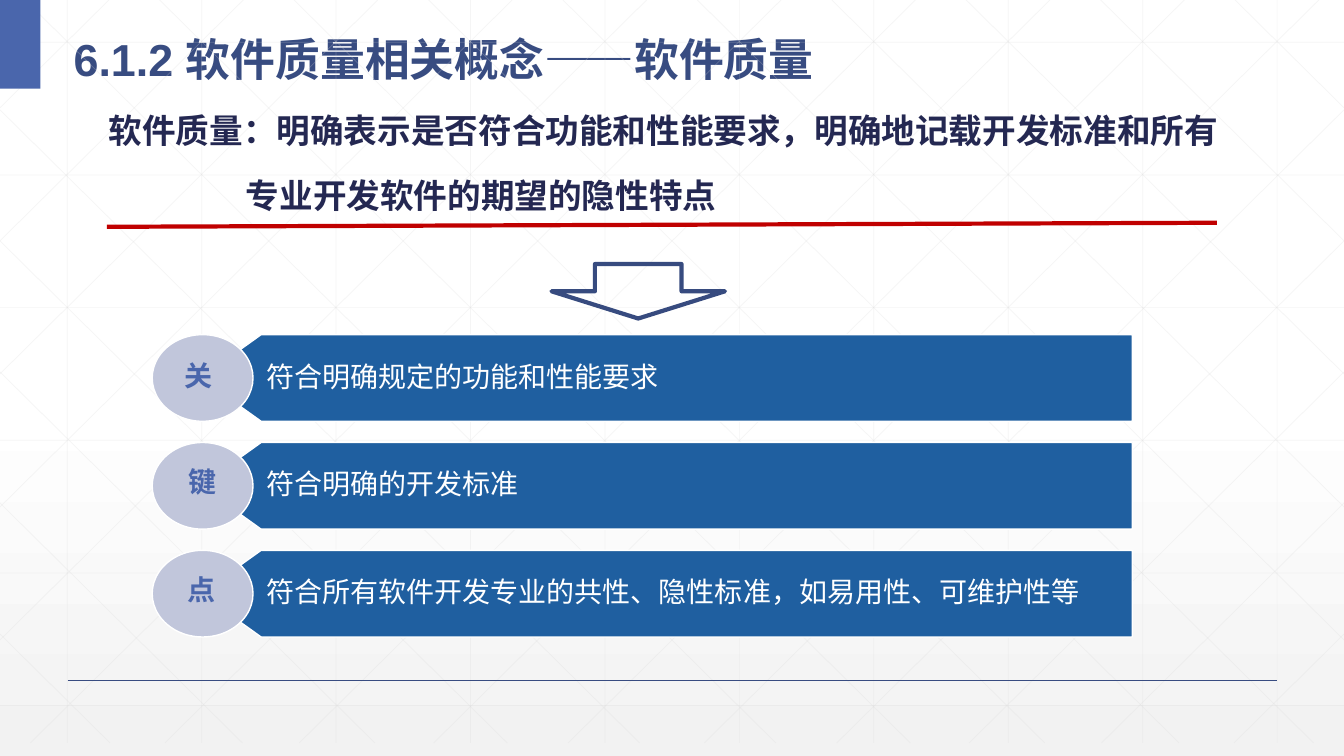
from dataclasses import dataclass

from lxml import etree
from pptx import Presentation
from pptx.dml.color import RGBColor
from pptx.enum import shapes, text
from pptx.oxml import parse_xml
from pptx.oxml.ns import nsdecls, qn
from pptx.util import Inches, Pt

WIDTH, HEIGHT = 13.33, 7.5
GRID_BOTTOM = 7.37
GRID_STEP = 4 / 3
FONT = "Arial"


@dataclass
class KeyPoint:
    mark: str
    mark_left: float
    mark_top: float
    wording: str


KEY_POINTS = [
    KeyPoint("关", 1.73, 3.51, "符合明确规定的功能和性能要求"),
    KeyPoint("键", 1.77, 4.56, "符合明确的开发标准"),
    KeyPoint("点", 1.76, 5.63, "符合所有软件开发专业的共性、隐性标准，如易用性、可维护性等"),
]


def color(value: str) -> RGBColor:
    return RGBColor.from_string(value)


def set_font(paragraph, size: float, value: str, bold: bool = False) -> None:
    font = paragraph.font
    font.name, font.size, font.bold = FONT, Pt(size), bold
    font.color.rgb = color(value)


def style_shape(shape, fill: str | None, line: str | None, width: float = 1) -> None:
    shape.shadow.inherit = False
    if fill:
        shape.fill.solid()
        shape.fill.fore_color.rgb = color(fill)
    else:
        shape.fill.background()
    if line:
        shape.line.color.rgb = color(line)
        shape.line.width = Pt(width)
    else:
        shape.line.fill.background()


def add_line(slide, x1: float, y1: float, x2: float, y2: float,
             value: str, width: float, opacity: int = 100) -> None:
    line = slide.shapes.add_connector(
        shapes.MSO_CONNECTOR.STRAIGHT, *map(Inches, (x1, y1, x2, y2)))
    line.line.color.rgb = color(value)
    line.line.width = Pt(width)
    properties = line._element.spPr
    if opacity < 100:
        tint = properties.find(".//" + qn("a:srgbClr"))
        etree.SubElement(tint, qn("a:alpha")).set("val", str(opacity * 1000))
    etree.SubElement(properties, qn("a:effectLst"))


def add_text_box(slide, left: float, top: float, width: float, height: float):
    frame = slide.shapes.add_textbox(
        *map(Inches, (left, top, width, height))).text_frame
    frame.word_wrap = True
    return frame


def set_background(slide) -> None:
    slide.background.fill.solid()
    properties = slide.background._cSld.bg.bgPr
    gradient = parse_xml(
        f'<a:gradFill {nsdecls("a")} rotWithShape="1"><a:gsLst>'
        '<a:gs pos="0"><a:srgbClr val="FFFFFF"/></a:gs>'
        '<a:gs pos="53000"><a:srgbClr val="FFFFFF"/></a:gs>'
        '<a:gs pos="100000"><a:srgbClr val="F2F2F2"><a:alpha val="65000"/>'
        '</a:srgbClr></a:gs></a:gsLst><a:lin ang="5400000" scaled="0"/></a:gradFill>')
    properties.replace(properties.find(qn("a:solidFill")), gradient)


def add_grid(slide) -> None:
    def grid_line(x1: float, y1: float, x2: float, y2: float) -> None:
        add_line(slide, x1, y1, x2, y2, "D9D9D9", 0.5, 25)

    def mirrored_pair(x1: float, y1: float, x2: float, y2: float) -> None:
        grid_line(x1, y1, x2, y2)
        grid_line(WIDTH - x1, y1, WIDTH - x2, y2)

    for column in range(10):
        x = GRID_STEP * (column + 0.5)
        grid_line(x, 0, x, GRID_BOTTOM)
    for row in range(6):
        y = 0.42 + 1.316 * row
        grid_line(0, y, WIDTH, y)
    # Diagonals from the top edge, cut at the side, then those from the sides
    slope = 0.99
    for column in range(10):
        x = 0.25 + GRID_STEP * column
        end = min(x + GRID_BOTTOM / slope, WIDTH)
        mirrored_pair(x, 0, end, (end - x) * slope)
    for row in range(5):
        y = 1.09 + 1.3 * row
        mirrored_pair(0, y, (GRID_BOTTOM - y) / slope, GRID_BOTTOM)


def add_title(slide) -> None:
    title = slide.shapes.title
    title.left, title.top, title.width, title.height = map(
        Inches, (0.63, 0.14, 12.05, 0.73))
    frame = title.text_frame
    frame.text = "6.1.2 软件质量相关概念——软件质量"
    frame.vertical_anchor = text.MSO_ANCHOR.MIDDLE
    paragraph = frame.paragraphs[0]
    paragraph.alignment = text.PP_ALIGN.LEFT
    paragraph.line_spacing = 1.3
    set_font(paragraph, 32, "384C81", True)


def add_definition(slide) -> None:
    frame = add_text_box(slide, 0.68, 0.96, 11.82, 2.09)
    frame.text = ("软件质量：明确表示是否符合功能和性能要求，明确地记载开发标准和所有\n"
                  "专业开发软件的期望的隐性特点")
    for paragraph, margin in zip(frame.paragraphs, (0.3, 1.66)):
        paragraph._p.get_or_add_pPr().set("marL", str(Inches(margin)))
        paragraph.line_spacing = 1.2
        paragraph.space_before = Pt(12)
        set_font(paragraph, 24, "242852", True)


def add_key_point(slide, point: KeyPoint, top: float) -> None:
    height = 0.86
    # Bar with a pointed left end
    builder = slide.shapes.build_freeform(Inches(11.23), Inches(top + height))
    builder.add_line_segments(
        [(Inches(x), Inches(top + y)) for x, y in
         ((2.59, height), (1.99, height / 2), (2.59, 0), (11.23, 0))])
    bar = builder.convert_to_shape()
    style_shape(bar, "1F5FA0", "FFFFFF")
    frame = bar.text_frame
    frame.text = point.wording
    frame.word_wrap = True
    frame.vertical_anchor = text.MSO_ANCHOR.MIDDLE
    frame.margin_left = Inches(0.65)
    paragraph = frame.paragraphs[0]
    paragraph.alignment = text.PP_ALIGN.LEFT
    paragraph.line_spacing = 0.9
    set_font(paragraph, 20, "FFFFFF")

    # Circle and its mark
    circle = slide.shapes.add_shape(
        shapes.MSO_SHAPE.OVAL, *map(Inches, (1.51, top, 1, height)))
    style_shape(circle, "C1C6DB", "FFFFFF")
    mark = add_text_box(slide, point.mark_left, point.mark_top, 0.48, 0.43)
    mark.word_wrap = False
    mark.text = point.mark
    set_font(mark.paragraphs[0], 20, "4A66AC", True)


def main() -> None:
    presentation = Presentation()
    presentation.slide_width = Inches(WIDTH)
    presentation.slide_height = Inches(HEIGHT)
    slide = presentation.slides.add_slide(presentation.slide_layouts[5])

    # Backdrop
    set_background(slide)
    add_grid(slide)
    add_line(slide, 0.67, 6.75, 12.67, 6.75, "384C81", 1)
    corner = slide.shapes.add_shape(
        shapes.MSO_SHAPE.RECTANGLE, 0, 0, Inches(0.4), Inches(0.88))
    style_shape(corner, "4A66AC", None)

    # Heading and definition
    add_title(slide)
    add_definition(slide)

    # Key points
    for index, point in enumerate(KEY_POINTS):
        add_key_point(slide, point, 3.32 + 1.07 * index)

    # Arrow and underline
    arrow = slide.shapes.add_shape(
        shapes.MSO_SHAPE.DOWN_ARROW, *map(Inches, (5.47, 2.62, 1.72, 0.54)))
    style_shape(arrow, None, "374B7F", 3)
    add_line(slide, 1.06, 2.25, 12.07, 2.21, "C00000", 3)

    presentation.save("out.pptx")


if __name__ == "__main__":
    main()
